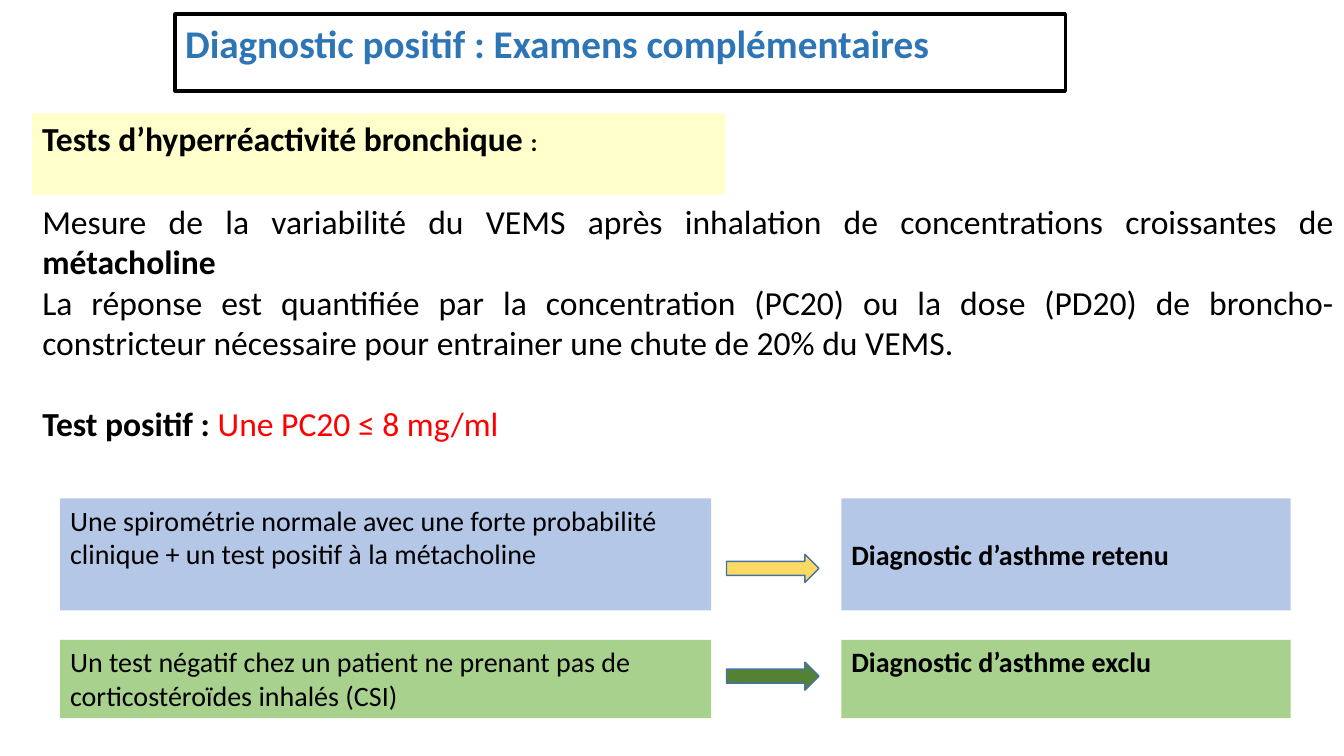
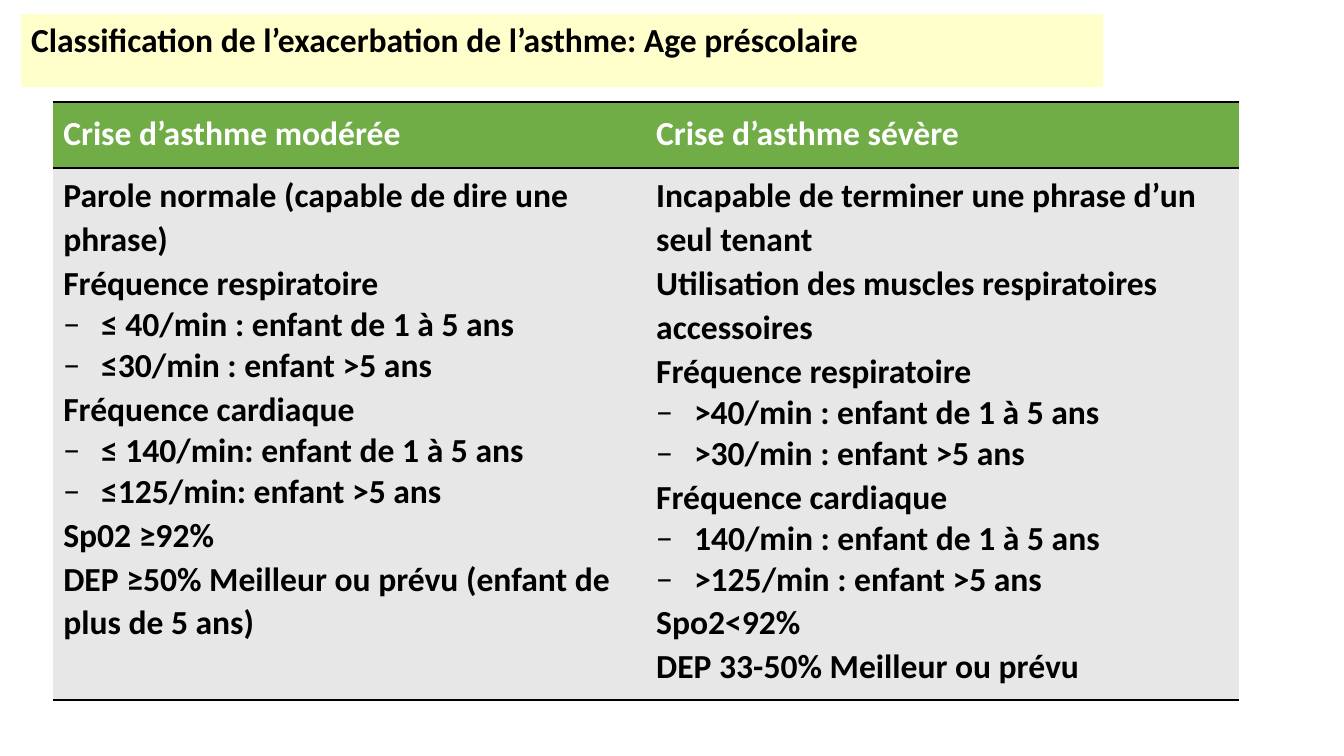
from dataclasses import dataclass

from lxml import etree
from pptx import Presentation
from pptx.dml.color import RGBColor
from pptx.enum.shapes import MSO_SHAPE
from pptx.enum.text import MSO_ANCHOR, MSO_AUTO_SIZE, PP_ALIGN
from pptx.oxml.ns import qn
from pptx.util import Pt

RECT, ARROW = MSO_SHAPE.RECTANGLE, MSO_SHAPE.RIGHT_ARROW
TOP, MIDDLE = MSO_ANCHOR.TOP, MSO_ANCHOR.MIDDLE
LEFT, JUSTIFY = PP_ALIGN.LEFT, PP_ALIGN.JUSTIFY
FIXED = MSO_AUTO_SIZE.NONE


@dataclass(frozen=True)
class Theme:
    font: str = "Calibri"
    title_size: int = 28
    body_size: int = 24
    box_size: int = 20
    small_size: int = 18
    black: str = "000000"
    white: str = "FFFFFF"
    title: str = "2E75B6"
    alert: str = "FF0000"
    band: str = "FFFFCC"
    retained: str = "B4C7E7"
    excluded: str = "A9D18E"
    retained_arrow: str = "FFD966"
    excluded_arrow: str = "548235"
    arrow_line: str = "43739E"
    header: str = "70AD47"
    cell: str = "E7E7E7"


T = Theme()


def rgb(color):
    return RGBColor.from_string(color)


def write(tf, paragraphs, size=T.body_size, color=T.black, bold=False,
          align=LEFT, anchor=TOP, spacing=1.0, gap_before_last=0):
    tf.word_wrap = True
    tf.vertical_anchor = anchor
    for i, runs in enumerate(paragraphs):
        p = tf.paragraphs[0] if i == 0 else tf.add_paragraph()
        runs = [(runs, {})] if isinstance(runs, str) else runs
        bullet = runs[0][0].startswith("− ")
        pPr = p._p.get_or_add_pPr()
        pPr.set("marL", str(Pt(27) if bullet else 0))
        pPr.set("indent", str(Pt(-27) if bullet else 0))
        if bullet:
            etree.SubElement(pPr, qn("a:buFont"), typeface=T.font)
            etree.SubElement(pPr, qn("a:buChar"), char="−")
        else:
            etree.SubElement(pPr, qn("a:buNone"))
        p.alignment = align
        p.line_spacing = 1.0 if bullet else spacing
        last = i > 0 and i == len(paragraphs) - 1
        p.space_before = Pt(gap_before_last if last else 0)
        p.space_after = Pt(0)
        for text, override in runs:
            fmt = {"size": size, "color": color, "bold": bold, **override}
            r = p.add_run()
            r.text = text.removeprefix("− ")
            r.font.name = T.font
            r.font.size = Pt(fmt["size"])
            r.font.bold = fmt["bold"]
            r.font.color.rgb = rgb(fmt["color"])


def place(sp, box):
    sp.left, sp.top, sp.width, sp.height = map(Pt, box)


def add_box(s, box, fill, kind=RECT, line=None):
    sp = s.shapes.add_shape(kind, *map(Pt, box))
    sp.shadow.inherit = False
    sp.fill.solid()
    sp.fill.fore_color.rgb = rgb(fill)
    if line:
        sp.line.color.rgb = rgb(line)
        sp.line.width = Pt(1)
    else:
        sp.line.fill.background()
    return sp


def add_title(s, box, text, fill=None, line=None, **fmt):
    sp = s.shapes.title
    place(sp, box)
    if fill:
        sp.fill.solid()
        sp.fill.fore_color.rgb = rgb(fill)
    if line:
        sp.line.color.rgb = rgb(line)
        sp.line.width = Pt(2.25)
    sp.text_frame.auto_size = FIXED
    write(sp.text_frame, [text], bold=True, **fmt)


def add_body(s, box, paragraphs, **fmt):
    sp = s.placeholders[1]
    place(sp, box)
    sp.text_frame.auto_size = FIXED
    write(sp.text_frame, paragraphs, **fmt)


def add_verdict(s, box, premise, verdict, fill, arrow_fill, anchor):
    x, y, w, h = box
    premise_w, verdict_w, arrow_w, arrow_h = 465, 321, 66, 20
    left = add_box(s, (x, y, premise_w, h), fill)
    write(left.text_frame, [premise], size=T.box_size)
    right = add_box(s, (x + w - verdict_w, y, verdict_w, h), fill)
    write(right.text_frame, [verdict], size=T.box_size, bold=True, anchor=anchor)
    arrow_box = (x + premise_w + 11, y + h - 2 * arrow_h, arrow_w, arrow_h)
    add_box(s, arrow_box, arrow_fill, ARROW, T.arrow_line)


def set_borders(cell):
    tcPr = cell._tc.get_or_add_tcPr()
    for i, side in enumerate(("lnL", "lnR", "lnT", "lnB")):
        ln = etree.Element(qn("a:" + side), w=str(Pt(2)))
        if side in ("lnT", "lnB"):
            fill = etree.SubElement(ln, qn("a:solidFill"))
            etree.SubElement(fill, qn("a:srgbClr"), val=T.black)
        else:
            etree.SubElement(ln, qn("a:noFill"))
        tcPr.insert(i, ln)


def add_comparison(s, box, columns, header_h):
    x, y, w, h = box
    frame = s.shapes.add_table(2, len(columns), *map(Pt, box))
    table = frame.table
    table.horz_banding = False
    table.rows[0].height, table.rows[1].height = Pt(header_h), Pt(h - header_h)
    for c, (heading, items) in enumerate(columns):
        table.columns[c].width = Pt(w / len(columns))
        rows = (([heading], T.header, T.white, 1.15), (items, T.cell, T.black, 1.07))
        for r, (paragraphs, fill, color, spacing) in enumerate(rows):
            cell = table.cell(r, c)
            cell.fill.solid()
            cell.fill.fore_color.rgb = rgb(fill)
            set_borders(cell)
            write(cell.text_frame, paragraphs, color=color, bold=True, spacing=spacing)


def build_tests(prs):
    s = prs.slides.add_slide(prs.slide_layouts[1])
    add_title(s, (125, 10, 636, 55), "Diagnostic positif : Examens complémentaires",
              line=T.black, size=T.title_size, color=T.title)
    band = add_box(s, (23, 81, 495, 58), T.band)
    write(band.text_frame, [[("Tests d’hyperréactivité bronchique ", {}),
                             (":", {"size": T.small_size})]], bold=True)
    add_body(s, (23, 140, 937, 181), [
        [("Mesure de la variabilité du VEMS après inhalation de concentrations croissantes de ", {}),
         ("métacholine", {"bold": True})],
        "La réponse est quantifiée par la concentration (PC20) ou la dose (PD20) de "
        "broncho-constricteur nécessaire pour entrainer une chute de 20% du VEMS.",
        [("Test positif : ", {"bold": True}),
         ("Une PC20 ≤ 8 mg/ml", {"color": T.alert})],
    ], align=JUSTIFY, gap_before_last=29)
    add_verdict(s, (43, 356, 879, 80),
                "Une spirométrie normale avec une forte probabilité clinique + un test positif à la métacholine",
                "Diagnostic d’asthme retenu", T.retained, T.retained_arrow, MIDDLE)
    add_verdict(s, (43, 457, 879, 56),
                "Un test négatif chez un patient ne prenant pas de corticostéroïdes inhalés (CSI)",
                "Diagnostic d’asthme exclu", T.excluded, T.excluded_arrow, TOP)


def build_classification(prs):
    s = prs.slides.add_slide(prs.slide_layouts[5])
    add_title(s, (15, 10, 773, 52),
              "Classification de l’exacerbation de l’asthme: Age préscolaire", fill=T.band)
    add_comparison(s, (38, 73, 847, 427), [
        ("Crise d’asthme modérée", [
            "Parole normale (capable de dire une phrase)",
            "Fréquence respiratoire",
            "− ≤ 40/min : enfant de 1 à 5 ans",
            "− ≤30/min : enfant >5 ans",
            "Fréquence cardiaque",
            "− ≤ 140/min: enfant de 1 à 5 ans",
            "− ≤125/min: enfant >5 ans",
            "Sp02 ≥92%",
            "DEP ≥50% Meilleur ou prévu (enfant de plus de 5 ans)",
        ]),
        ("Crise d’asthme sévère", [
            "Incapable de terminer une phrase d’un seul tenant",
            "Utilisation des muscles respiratoires accessoires",
            "Fréquence respiratoire",
            "− >40/min : enfant de 1 à 5 ans",
            "− >30/min : enfant >5 ans",
            "Fréquence cardiaque",
            "− 140/min : enfant de 1 à 5 ans",
            "− >125/min : enfant >5 ans",
            "Spo2<92%",
            "DEP 33-50% Meilleur ou prévu",
        ]),
    ], header_h=47)


def main():
    prs = Presentation()
    prs.slide_width, prs.slide_height = Pt(960), Pt(540)
    build_tests(prs)
    build_classification(prs)
    prs.save("out.pptx")


if __name__ == "__main__":
    main()
